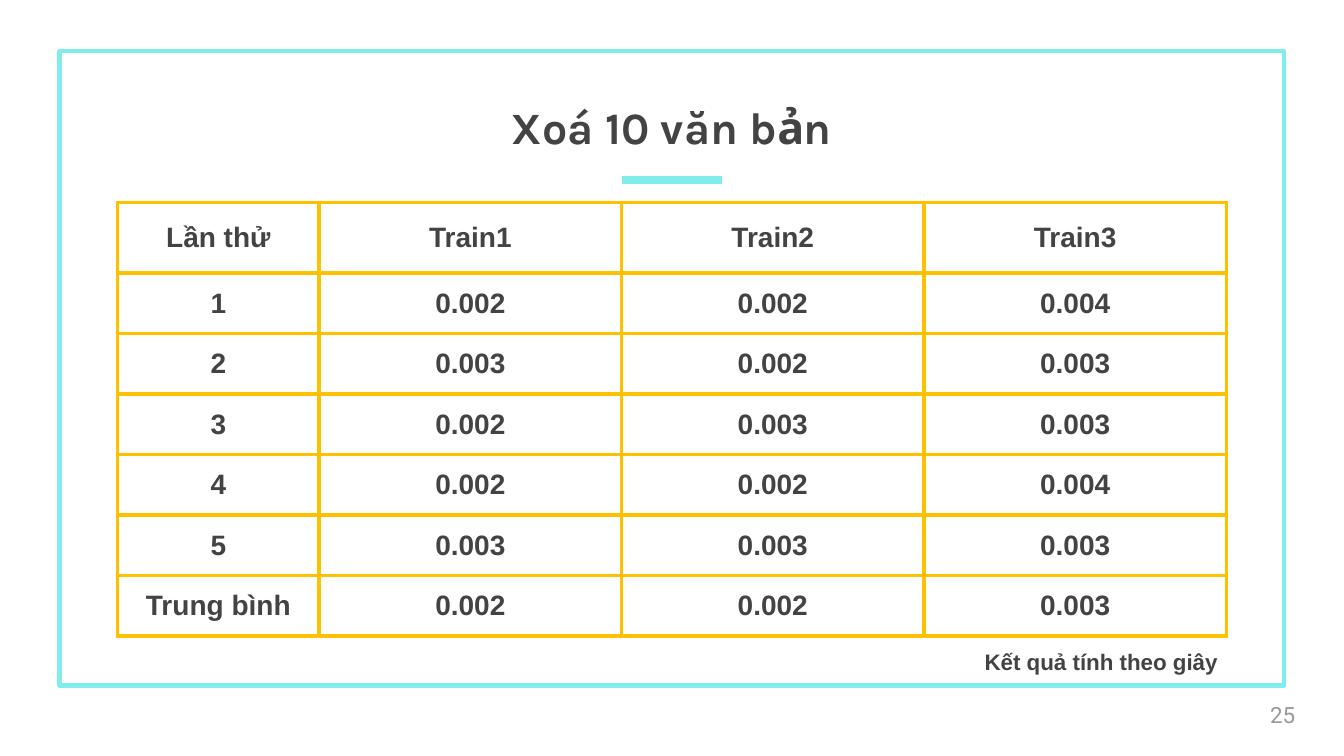
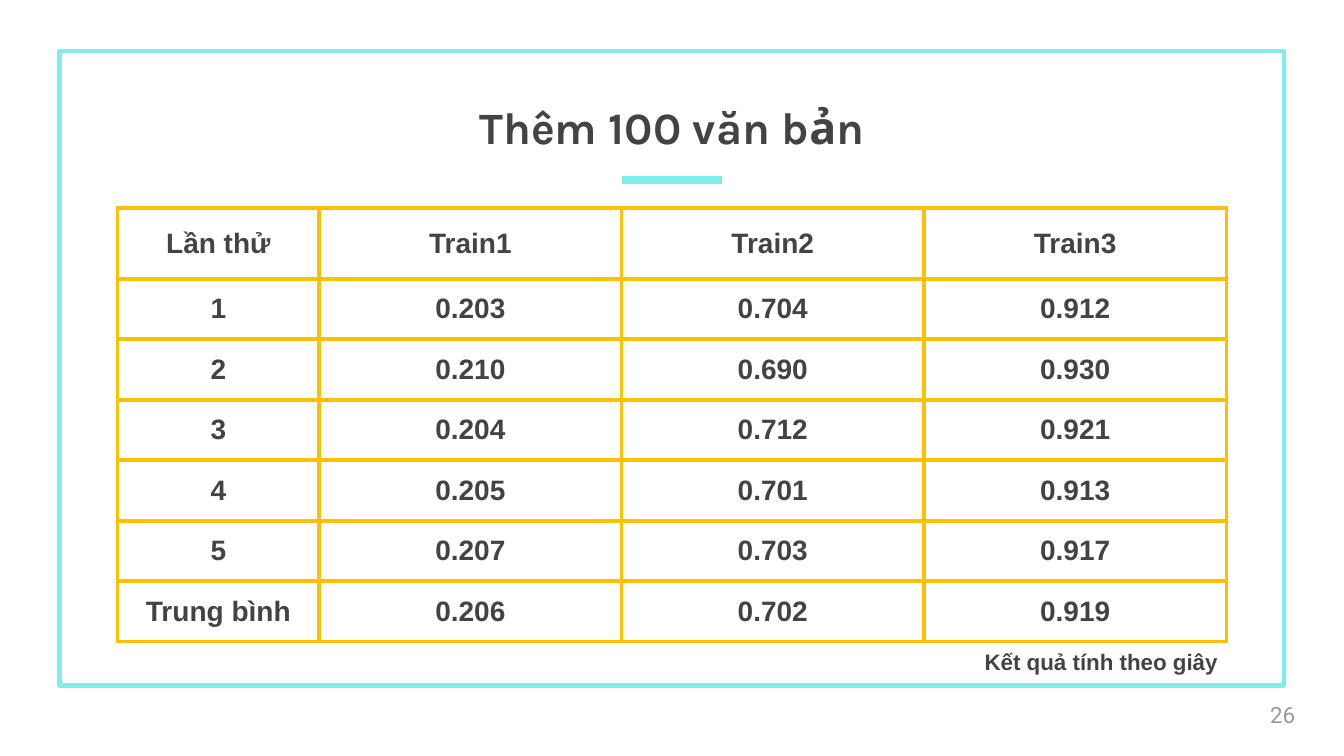
from pptx import Presentation
from pptx.dml.color import RGBColor
from pptx.enum.shapes import MSO_CONNECTOR, MSO_SHAPE
from pptx.enum.text import MSO_ANCHOR, PP_ALIGN
from pptx.oxml import parse_xml
from pptx.oxml.ns import nsdecls
from pptx.util import Pt

WIDE, HIGH = 960, 540
AQUA, GOLD, DARK, GRAY, WHITE = "81ECEC", "FFC000", "434343", "999999", "FFFFFF"
FRAME = (42.5, 36.7, 874.8, 452.9)
COLS = (144, 216, 216, 216)
ROWS = (50.4,) + (43.2,) * 6
HEADS = ("Lần thử", "Train1", "Train2", "Train3")
TRIALS = ("1", "2", "3", "4", "5", "Trung bình")
NOTE = "Kết quả tính theo giây"
PAGES = (
    ("Xoá 10 văn bản", "25", 144.7, (
        ("0.002", "0.002", "0.004"),
        ("0.003", "0.002", "0.003"),
        ("0.002", "0.003", "0.003"),
        ("0.002", "0.002", "0.004"),
        ("0.003", "0.003", "0.003"),
        ("0.002", "0.002", "0.003"))),
    ("Thêm 100 văn bản", "26", 148.7, (
        ("0.203", "0.704", "0.912"),
        ("0.210", "0.690", "0.930"),
        ("0.204", "0.712", "0.921"),
        ("0.205", "0.701", "0.913"),
        ("0.207", "0.703", "0.917"),
        ("0.206", "0.702", "0.919"))),
)


def color(code):
    """Turn a hex string into a colour."""
    return RGBColor.from_string(code)


def points(*nums):
    """Turn numbers into lengths in points."""
    return [Pt(num) for num in nums]


def write(frame, text, size=20, font="Arial", ink=DARK, bold=True,
          align=PP_ALIGN.LEFT):
    """Fill a text frame with one formatted line."""
    para = frame.paragraphs[0]
    para.alignment = align
    run = para.add_run()
    run.text = text
    run.font.size = Pt(size)
    run.font.name = font
    run.font.bold = bold
    run.font.color.rgb = color(ink)


def label(slide, box, text, anchor=MSO_ANCHOR.TOP, inset=None, **style):
    """Place a text box with one line of text."""
    frame = slide.shapes.add_textbox(*points(*box)).text_frame
    frame.word_wrap = True
    frame.vertical_anchor = anchor
    if inset is not None:
        frame.margin_left = frame.margin_right = Pt(inset)
        frame.margin_top = frame.margin_bottom = Pt(inset)
    write(frame, text, **style)


def border(slide, box):
    """Draw the outer frame and the short rule below the title."""
    left, top, width, height = box
    rect = slide.shapes.add_shape(MSO_SHAPE.RECTANGLE, *points(*box))
    rect.shadow.inherit = False
    rect.fill.background()
    mid, level = left + width / 2, top + 91.8
    rule = slide.shapes.add_connector(
        MSO_CONNECTOR.STRAIGHT, *points(mid - 35.7, level, mid + 35.7, level))
    for shape, weight in ((rect, 3), (rule, 6)):
        shape.line.color.rgb = color(AQUA)
        shape.line.width = Pt(weight)
    rule._element.spPr.append(parse_xml(f"<a:effectLst {nsdecls('a')}/>"))


def edge(cell, code, weight):
    """Draw all four borders of a table cell."""
    props = cell._tc.get_or_add_tcPr()
    for spot, side in enumerate("LRTB"):
        props.insert(spot, parse_xml(
            f'<a:ln{side} {nsdecls("a")} w="{Pt(weight)}"><a:solidFill>'
            f'<a:srgbClr val="{code}"/></a:solidFill></a:ln{side}>'))


def grid(slide, left, top, data):
    """Place the table of timings with its corner at left and top."""
    table = slide.shapes.add_table(
        len(ROWS), len(COLS),
        *points(left, top, sum(COLS), sum(ROWS))).table
    table.first_row = table.horz_banding = False
    for col, width in zip(table.columns, COLS):
        col.width = Pt(width)
    for row, height in zip(table.rows, ROWS):
        row.height = Pt(height)
    lines = [HEADS] + [(name, *vals) for name, vals in zip(TRIALS, data)]
    for row, line in zip(table.rows, lines):
        for cell, text in zip(row.cells, line):
            cell.fill.solid()
            cell.fill.fore_color.rgb = color(WHITE)
            cell.vertical_anchor = MSO_ANCHOR.MIDDLE
            edge(cell, GOLD, 3)
            write(cell.text_frame, text, align=PP_ALIGN.CENTER)


def build(deck, title, number, top, data):
    """Add one slide of results."""
    slide = deck.slides.add_slide(deck.slide_layouts[6])
    border(slide, FRAME)
    label(slide, (0, 23, WIDE, 95.8), title, anchor=MSO_ANCHOR.BOTTOM,
          inset=9.4, size=32, font="Karla", align=PP_ALIGN.CENTER)
    label(slide, (897.8, 489.6, 57.6, 41), number, anchor=MSO_ANCHOR.MIDDLE,
          inset=9.4, size=16, font="Roboto", ink=GRAY, bold=False)
    grid(slide, (WIDE - sum(COLS)) / 2, top, data)
    label(slide, (696.2, 459.4, 200.9, 26.6), NOTE, size=16)


def main():
    """Build and save the deck."""
    deck = Presentation()
    deck.slide_width, deck.slide_height = points(WIDE, HIGH)
    for page in PAGES:
        build(deck, *page)
    deck.save("out.pptx")


if __name__ == "__main__":
    main()
